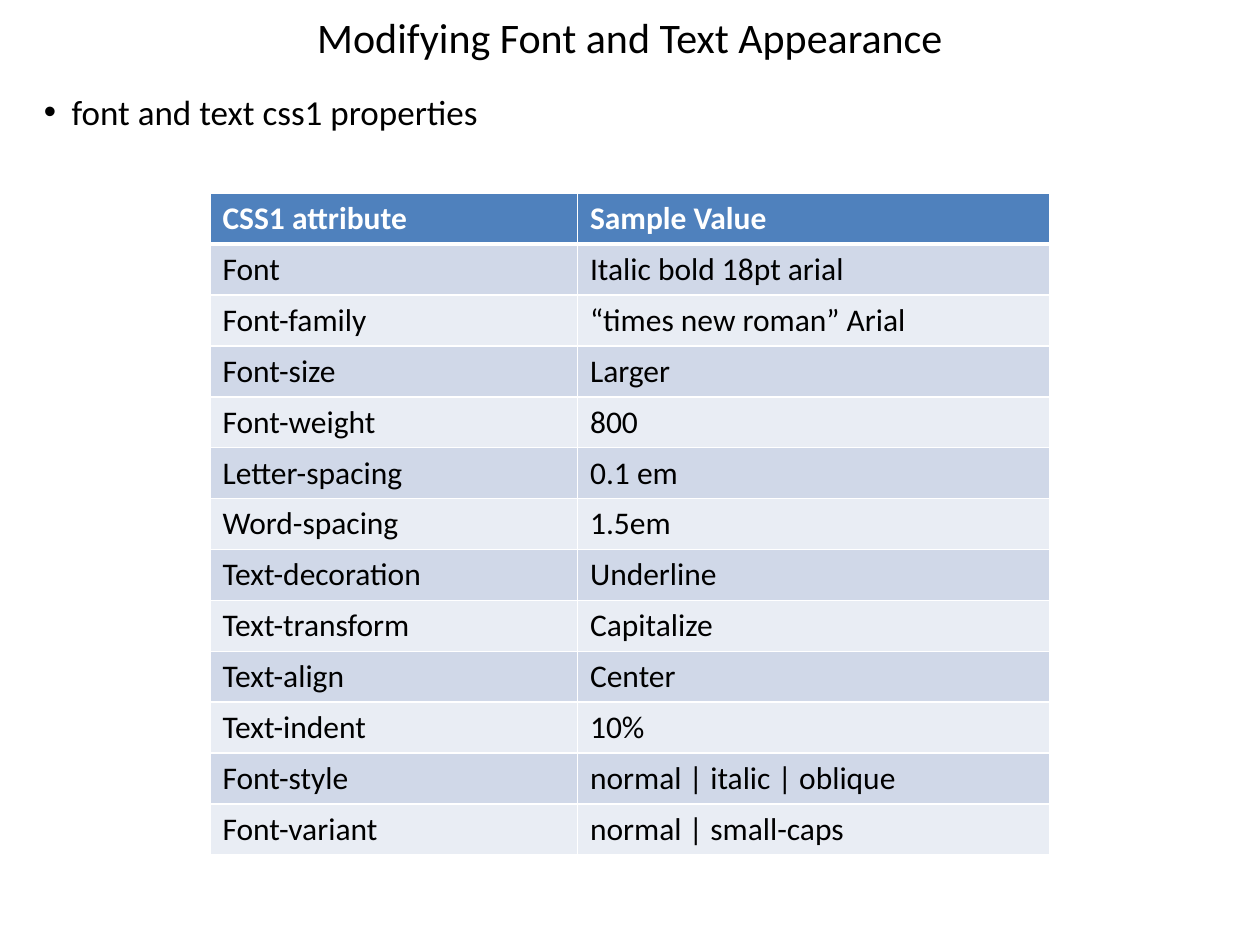
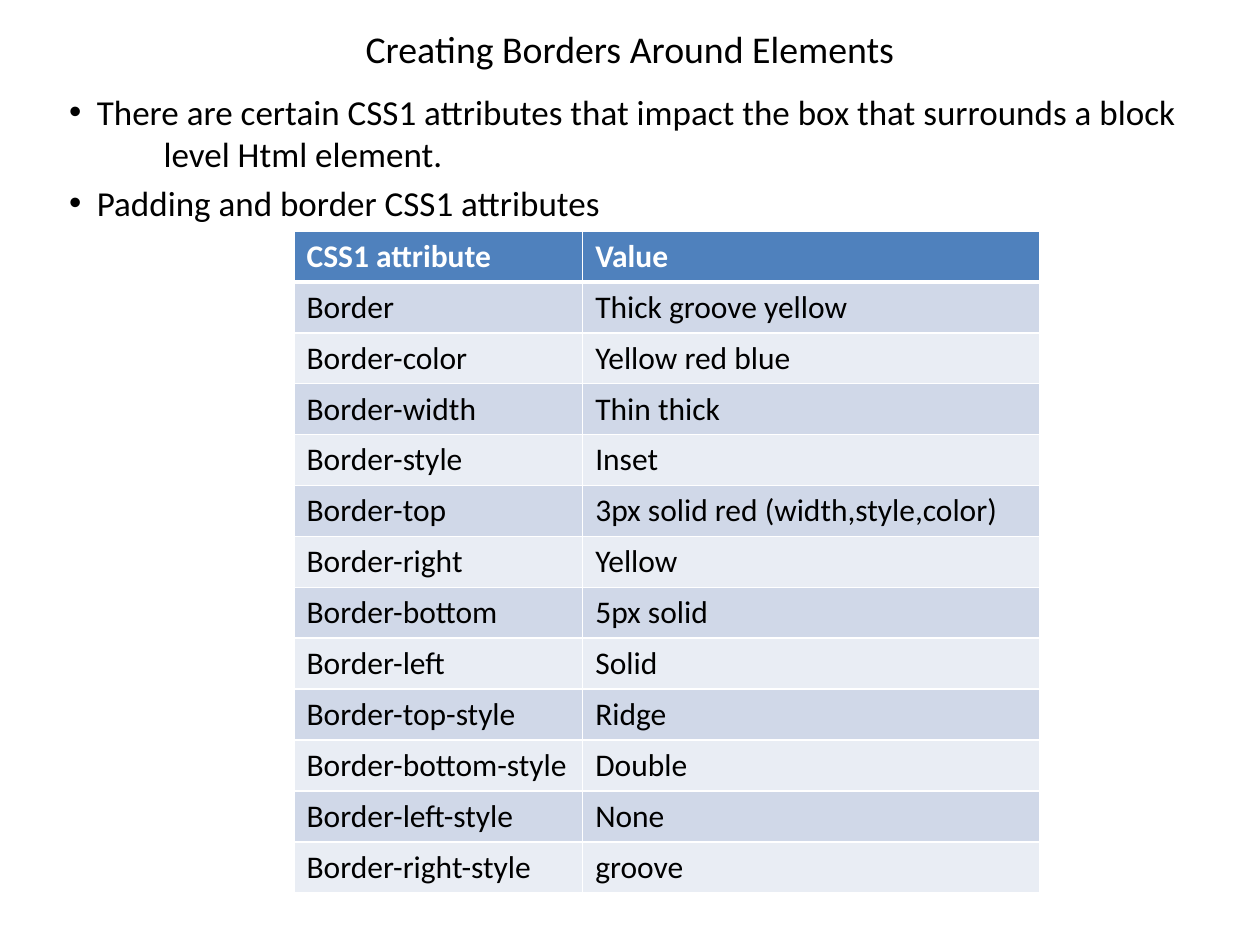
from dataclasses import dataclass

from lxml import etree
from pptx import Presentation
from pptx.dml.color import RGBColor
from pptx.enum.text import MSO_ANCHOR, MSO_AUTO_SIZE, PP_ALIGN
from pptx.oxml.ns import qn
from pptx.util import Inches, Pt

CENTER = PP_ALIGN.CENTER
MIDDLE = MSO_ANCHOR.MIDDLE
NO_AUTOFIT = MSO_AUTO_SIZE.NONE
TITLE_ONLY = 5
GRID_COLUMNS, GRID_ROWS = 12, 18


@dataclass(frozen=True)
class Theme:
    font: str = "Calibri"
    text: str = "000000"
    background: str = "FFFFFF"
    header_text: str = "FFFFFF"
    header_fill: str = "4F81BD"
    bands: tuple = ("D0D8E8", "E9EDF4")
    border: str = "FFFFFF"
    border_width: float = 1
    header_rule_width: float = 3
    body_size: float = 20
    table_size: float = 18
    bullet_gap: float = 4
    hanging_indent: float = 0.22


class Deck:
    def __init__(self, theme):
        self.theme = theme
        self.presentation = Presentation()
        self.presentation.slide_width = Inches(10)
        self.presentation.slide_height = Inches(7.5)
        self.slide = None

    def across(self, columns):
        return round(self.presentation.slide_width * columns / GRID_COLUMNS)

    def down(self, rows):
        return round(self.presentation.slide_height * rows / GRID_ROWS)

    def box(self, left, top, width, height):
        return self.across(left), self.down(top), self.across(width), self.down(height)

    def style(self, paragraph, size, color, bold=False):
        font = paragraph.font
        font.name, font.size, font.bold = self.theme.font, Pt(size), bold
        font.color.rgb = RGBColor.from_string(color)

    def add_slide(self, title, size, line_spacing=1.0):
        layout = self.presentation.slide_layouts[TITLE_ONLY]
        self.slide = self.presentation.slides.add_slide(layout)
        background = self.slide.background.fill
        background.solid()
        background.fore_color.rgb = RGBColor.from_string(self.theme.background)

        shape = self.slide.shapes.title
        shape.left, shape.top, shape.width, shape.height = self.box(0.6, 0, 10.8, 1.4)
        frame = shape.text_frame
        frame.text = title
        frame.auto_size = NO_AUTOFIT
        frame.vertical_anchor = MIDDLE
        paragraph = frame.paragraphs[0]
        paragraph.alignment = CENTER
        paragraph.line_spacing = line_spacing
        self.style(paragraph, size, self.theme.text)

    def add_bullets(self, lines, indent=0):
        """Add (text, continuation indent) lines; an indent of None starts a new bullet."""
        frame = self.slide.shapes.add_textbox(*self.box(0.3, 1.6, 11.1, 15.8)).text_frame
        frame.word_wrap = True
        for index, (text, continuation) in enumerate(lines):
            paragraph = frame.paragraphs[0] if index == 0 else frame.add_paragraph()
            paragraph.text = text
            self.style(paragraph, self.theme.body_size, self.theme.text)
            properties = paragraph._p.get_or_add_pPr()
            if continuation is None:
                paragraph.space_before = Pt(self.theme.bullet_gap)
                hanging = Inches(self.theme.hanging_indent)
                properties.set("marL", str(Inches(indent) + hanging))
                properties.set("indent", str(-hanging))
                bullet_font = etree.Element(qn("a:buFont"), typeface="Arial")
                bullet = etree.Element(qn("a:buChar"), char="•")
                properties.find(qn("a:defRPr")).addprevious(bullet_font)
                bullet_font.addnext(bullet)
            else:
                properties.set("marL", str(Inches(continuation)))

    def add_borders(self, cell, top_width, bottom_width):
        side_width = self.theme.border_width
        widths = {"L": side_width, "R": side_width, "T": top_width, "B": bottom_width}
        properties = cell._tc.get_or_add_tcPr()
        for side, width in widths.items():
            line = etree.SubElement(properties, qn(f"a:ln{side}"), w=str(Pt(width)))
            fill = etree.SubElement(line, qn("a:solidFill"))
            etree.SubElement(fill, qn("a:srgbClr"), val=self.theme.border)

    def add_table(self, left, top, column_widths, rows, row_height=0.97):
        theme = self.theme
        place = self.box(left, top, sum(column_widths), row_height * len(rows))
        table = self.slide.shapes.add_table(len(rows), len(column_widths), *place).table
        table.horz_banding = False
        for column, width in zip(table.columns, column_widths):
            column.width = self.across(width)
        for row_index, values in enumerate(rows):
            table.rows[row_index].height = self.down(row_height)
            header = row_index == 0
            fill = theme.header_fill if header else theme.bands[(row_index - 1) % 2]
            color = theme.header_text if header else theme.text
            top_width = theme.header_rule_width if row_index == 1 else theme.border_width
            bottom_width = theme.header_rule_width if header else theme.border_width
            for column_index, value in enumerate(values):
                cell = table.cell(row_index, column_index)
                cell.text = value
                self.style(cell.text_frame.paragraphs[0], theme.table_size, color, header)
                self.add_borders(cell, top_width, bottom_width)
                cell.fill.solid()
                cell.fill.fore_color.rgb = RGBColor.from_string(fill)


FONT_PROPERTIES = [
    ("CSS1 attribute", "Sample Value"),
    ("Font", "Italic bold 18pt arial"),
    ("Font-family", "“times new roman” Arial"),
    ("Font-size", "Larger"),
    ("Font-weight", "800"),
    ("Letter-spacing", "0.1 em"),
    ("Word-spacing", "1.5em"),
    ("Text-decoration", "Underline"),
    ("Text-transform", "Capitalize"),
    ("Text-align", "Center"),
    ("Text-indent", "10%"),
    ("Font-style", "normal | italic | oblique"),
    ("Font-variant", "normal | small-caps"),
]

BORDER_PROPERTIES = [
    ("CSS1 attribute", "Value"),
    ("Border", "Thick groove yellow"),
    ("Border-color", "Yellow red blue"),
    ("Border-width", "Thin thick"),
    ("Border-style", "Inset"),
    ("Border-top", "3px solid red (width,style,color)"),
    ("Border-right", "Yellow"),
    ("Border-bottom", "5px solid"),
    ("Border-left", "Solid"),
    ("Border-top-style", "Ridge"),
    ("Border-bottom-style", "Double"),
    ("Border-left-style", "None"),
    ("Border-right-style", "groove"),
]


def main():
    deck = Deck(Theme())

    deck.add_slide("Modifying Font and Text Appearance", size=24)
    deck.add_bullets([("font and text css1 properties", None)])
    deck.add_table(2, 3.68, (3.5, 4.5), FONT_PROPERTIES)

    deck.add_slide("Creating Borders Around Elements", size=21.6, line_spacing=1.5)
    deck.add_bullets([
        ("There are certain CSS1 attributes that impact the box that surrounds a block", None),
        ("level Html element.", 0.95),
        ("Padding and border CSS1 attributes", None),
    ], indent=0.2)
    deck.add_table(2.8, 4.4, (2.75, 4.35), BORDER_PROPERTIES)

    deck.presentation.save("out.pptx")


if __name__ == "__main__":
    main()
